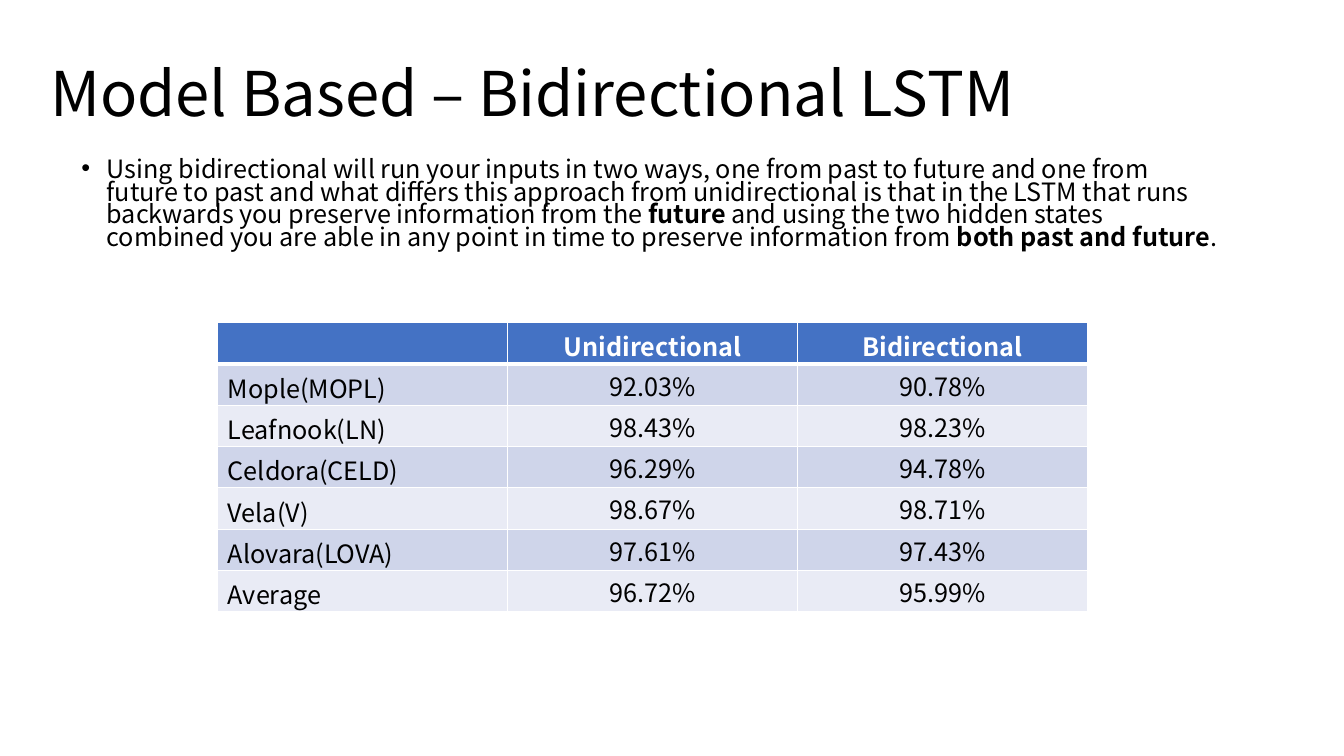
from pptx import Presentation
from pptx.dml.color import RGBColor
from pptx.enum.text import MSO_ANCHOR, PP_ALIGN
from pptx.oxml.ns import qn
from pptx.util import Inches, Pt
from lxml import etree

CENTER, LEFT = PP_ALIGN.CENTER, PP_ALIGN.LEFT
MIDDLE, TOP = MSO_ANCHOR.MIDDLE, MSO_ANCHOR.TOP

THEME = {
    "font": "Noto Sans CJK SC",
    "title_size": 44,
    "text_size": 18,
    "text": "000000",
    "white": "FFFFFF",
    "header": "4472C4",
    "bands": ("CFD5EA", "E9EBF5"),
    "rule": 1,
    "header_rule": 3,
}


def add_run(paragraph, text, size=THEME["text_size"], color=THEME["text"], bold=False):
    run = paragraph.add_run()
    run.text = text
    run.font.name = THEME["font"]
    run.font.size = Pt(size)
    run.font.bold = bold
    run.font.color.rgb = RGBColor.from_string(color)


def add_border(cell, side, width):
    """Draw a white line on one side of a cell: L, R, T or B."""
    properties = cell._tc.get_or_add_tcPr()
    line = etree.SubElement(properties, qn(f"a:ln{side}"), w=str(Pt(width)))
    fill = etree.SubElement(line, qn("a:solidFill"))
    etree.SubElement(fill, qn("a:srgbClr"), val=THEME["white"])


presentation = Presentation()
presentation.slide_width = Inches(13.33)
presentation.slide_height = Inches(7.5)
slide = presentation.slides.add_slide(presentation.slide_layouts[6])

# Title
title = slide.shapes.add_textbox(Inches(0.4), Inches(0.23), Inches(11.5), Inches(1.45))
title.text_frame.word_wrap = True
title.text_frame.vertical_anchor = MIDDLE
paragraph = title.text_frame.paragraphs[0]
paragraph.line_spacing = 0.9
add_run(paragraph, "Model Based – Bidirectional LSTM", THEME["title_size"])

# Bulleted explanation
body = slide.shapes.add_textbox(Inches(0.71), Inches(1.54), Inches(11.5), Inches(1.4))
body.text_frame.word_wrap = True
paragraph = body.text_frame.paragraphs[0]
paragraph.line_spacing = 0.75
properties = paragraph._p.get_or_add_pPr()
properties.set("marL", str(Inches(0.25)))
properties.set("indent", str(-Inches(0.25)))
etree.SubElement(properties, qn("a:buFont"), typeface="Arial")
etree.SubElement(properties, qn("a:buChar"), char="•")
explanation = [
    ("Using bidirectional will run your inputs in two ways, one from past to future "
     "and one from future to past and what differs this approach from unidirectional "
     "is that in the LSTM that runs backwards you preserve information from the ", False),
    ("future", True),
    (" and using the two hidden states combined you are able in any point in time "
     "to preserve information from ", False),
    ("both past and future", True),
    (".", False),
]
for text, bold in explanation:
    add_run(paragraph, text, bold=bold)

# Accuracy table
accuracy = [
    ("", "Unidirectional", "Bidirectional"),
    ("Mople(MOPL)", "92.03%", "90.78%"),
    ("Leafnook(LN)", "98.43%", "98.23%"),
    ("Celdora(CELD)", "96.29%", "94.78%"),
    ("Vela(V)", "98.67%", "98.71%"),
    ("Alovara(LOVA)", "97.61%", "97.43%"),
    ("Average", "96.72%", "95.99%"),
]
row_count, column_count = len(accuracy), len(accuracy[0])
column_width, row_height = Inches(2.875), Inches(0.41)
table = slide.shapes.add_table(
    row_count, column_count, Inches(2.16), Inches(3.2),
    column_width * column_count, row_height * row_count,
).table
for row in table.rows:
    row.height = row_height

for row_index, values in enumerate(accuracy):
    is_header = row_index == 0
    for column_index, text in enumerate(values):
        cell = table.cell(row_index, column_index)
        is_value = column_index > 0 and not is_header
        if is_value:
            cell.margin_left = cell.margin_right = cell.margin_top = Inches(0.01)
            cell.margin_bottom = 0
        cell.vertical_anchor = MIDDLE if is_value else TOP

        for side in "LRTB":
            under_header = (row_index, side) in ((0, "B"), (1, "T"))
            add_border(cell, side, THEME["header_rule" if under_header else "rule"])
        cell.fill.solid()
        band = THEME["header"] if is_header else THEME["bands"][(row_index - 1) % 2]
        cell.fill.fore_color.rgb = RGBColor.from_string(band)

        paragraph = cell.text_frame.paragraphs[0]
        paragraph.alignment = CENTER if column_index > 0 else LEFT
        if text:
            color = THEME["white"] if is_header else THEME["text"]
            add_run(paragraph, text, color=color, bold=is_header)

presentation.save("out.pptx")
